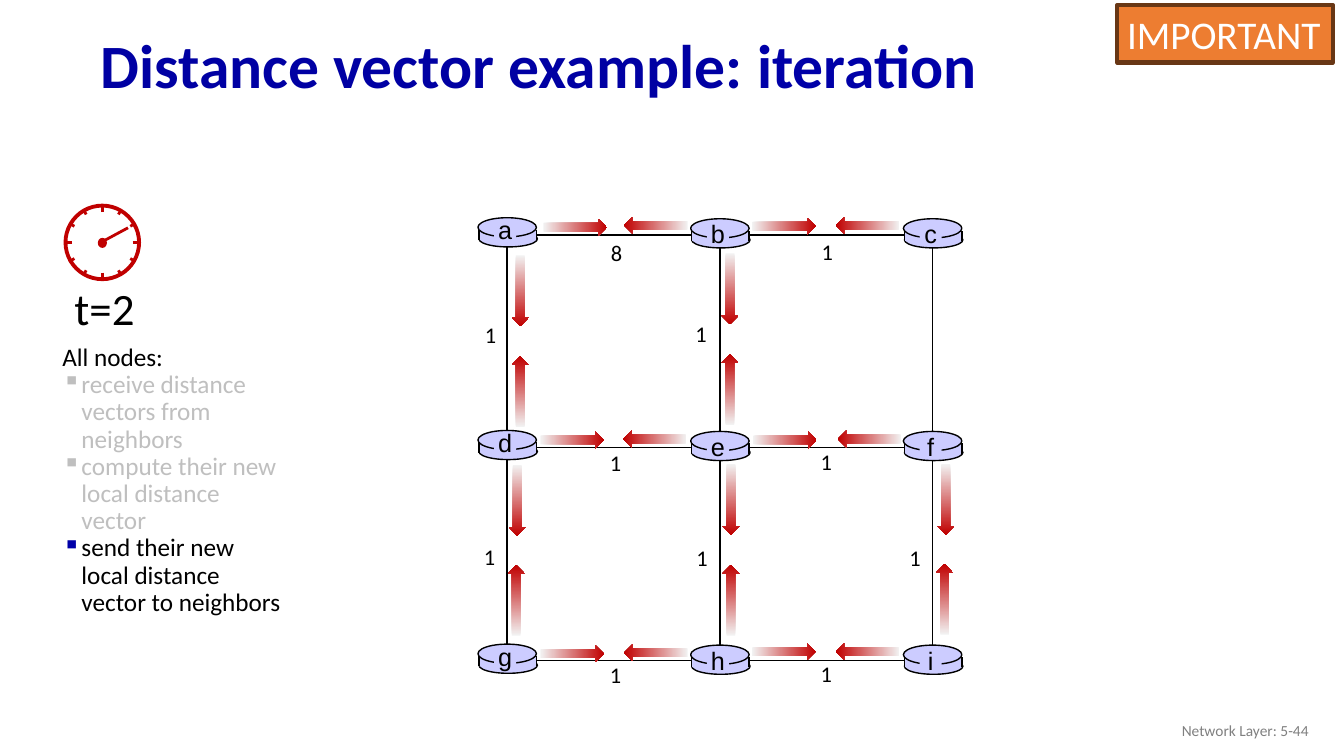
"""Build the distance vector iteration slide with its router grid."""
from dataclasses import dataclass
from math import cos, radians, sin

from lxml import etree
from pptx import Presentation
from pptx.dml.color import RGBColor
from pptx.enum.shapes import MSO_CONNECTOR, MSO_SHAPE
from pptx.enum.text import MSO_ANCHOR, PP_ALIGN
from pptx.oxml.ns import qn
from pptx.util import Inches, Pt

RECTANGLE, OVAL = MSO_SHAPE.RECTANGLE, MSO_SHAPE.OVAL
RIGHT_ARROW, STRAIGHT = MSO_SHAPE.RIGHT_ARROW, MSO_CONNECTOR.STRAIGHT
TOP, MIDDLE = MSO_ANCHOR.TOP, MSO_ANCHOR.MIDDLE
LEFT, CENTER, RIGHT = PP_ALIGN.LEFT, PP_ALIGN.CENTER, PP_ALIGN.RIGHT
BLACK, LILAC, RED, GREY, PALE = "000000", "CCCCFF", "C00000", "BFBFBF", "F2F2F2"
NAVY, NAVY_LIGHT = "0000A3", "0000A8"
COLUMNS = (4.74, 6.85, 8.96)
ROWS = (2.16, 4.27, 6.39)


@dataclass
class Router:
    name: str
    left: float
    top: float
    label_top: float


@dataclass
class Link:
    cost: str
    cost_at: tuple[float, float]
    forward_at: tuple[float, float]
    backward_at: tuple[float, float]


@dataclass
class Step:
    text: str
    text_color: str
    bullet_color: str


ROUTERS = [
    Router(name, left, top + (0.01 if column else 0), top + (-0.04 if column else -0.08))
    for names, top in zip(("abc", "def", "ghi"), ROWS)
    for column, (name, left) in enumerate(zip(names, COLUMNS))
]
HORIZONTAL_LINKS = [
    Link("8", (5.96, 2.32), (5.39, 2.17), (6.19, 2.15)),
    Link("1", (8.05, 2.31), (7.46, 2.16), (8.29, 2.15)),
    Link("1", (5.95, 4.41), (5.36, 4.28), (6.18, 4.27)),
    Link("1", (8.04, 4.40), (7.47, 4.28), (8.31, 4.27)),
    Link("1", (5.95, 6.51), (5.36, 6.40), (6.19, 6.39)),
    Link("1", (8.04, 6.50), (7.46, 6.38), (8.29, 6.38)),
]
VERTICAL_LINKS = [
    Link("1", (4.71, 3.14), (4.81, 2.80), (4.81, 3.80)),
    Link("1", (6.80, 3.13), (6.89, 2.78), (6.89, 3.78)),
    Link("1", (4.70, 5.34), (4.78, 4.88), (4.77, 5.87)),
    Link("1", (6.81, 5.35), (6.90, 4.87), (6.90, 5.87)),
    Link("1", (8.92, 5.35), (9.03, 4.87), (9.02, 5.86)),
]
STEPS = [
    Step("receive distance vectors from neighbors", GREY, GREY),
    Step("compute their new local distance vector", GREY, GREY),
    Step("send their new local distance vector to neighbors", BLACK, NAVY_LIGHT),
]


def rgb(value: str) -> RGBColor:
    return RGBColor.from_string(value)


def style_font(font, size: float, color: str, name: str = "Calibri") -> None:
    font.name, font.size = name, Pt(size)
    font.color.rgb = rgb(color)


def add_preset(slide, preset, left, top, width, height, fill="", line="", weight=1.0):
    shape = slide.shapes.add_shape(preset, Inches(left), Inches(top), Inches(width), Inches(height))
    shape.shadow.inherit = False
    if fill:
        shape.fill.solid()
        shape.fill.fore_color.rgb = rgb(fill)
    else:
        shape.fill.background()
    if line:
        shape.line.color.rgb = rgb(line)
        shape.line.width = Pt(weight)
    else:
        shape.line.fill.background()
    return shape


def add_line(slide, start, end, color: str = BLACK, weight: float = 1) -> None:
    connector = slide.shapes.add_connector(STRAIGHT, *map(Inches, (*start, *end)))
    connector.line.color.rgb = rgb(color)
    connector.line.width = Pt(weight)
    etree.SubElement(connector._element.spPr, qn("a:effectLst"))


def add_box(slide, left, top, width, height, anchor=TOP, wrap=True):
    box = slide.shapes.add_textbox(Inches(left), Inches(top), Inches(width), Inches(height))
    box.text_frame.word_wrap = wrap
    box.text_frame.vertical_anchor = anchor
    return box.text_frame


def write(frame, text: str, size: float, color: str = BLACK, name: str = "Calibri", align=LEFT):
    paragraph = frame.paragraphs[0]
    paragraph.text = text
    paragraph.alignment = align
    style_font(paragraph.font, size, color, name)
    return paragraph


def draw_router(slide, router: Router) -> None:
    left, top = router.left, router.top
    add_preset(slide, OVAL, left + 0.01, top + 0.13, 0.58, 0.16, LILAC, BLACK)
    add_preset(slide, RECTANGLE, left + 0.01, top + 0.12, 0.57, 0.1, LILAC)
    for side in (left + 0.01, left + 0.58):
        add_line(slide, (side, top + 0.12), (side, top + 0.22))
    add_preset(slide, OVAL, left, top, 0.58, 0.19, LILAC, BLACK)
    add_preset(slide, RECTANGLE, left + 0.16, top + 0.05, 0.22, 0.2, LILAC)
    frame = add_box(slide, left + 0.1, router.label_top, 0.34, 0.4, wrap=False)
    write(frame, router.name, 18, name="Arial", align=CENTER)


def draw_link(slide, link: Link, length: float, rotation: int) -> None:
    write(add_box(slide, *link.cost_at, 0.33, 0.37), link.cost, 16)
    for position, angle in ((link.forward_at, rotation), (link.backward_at, rotation + 180)):
        arrow = add_preset(slide, RIGHT_ARROW, *position, length, 0.17)
        arrow.rotation = angle
        arrow.fill.gradient()
        arrow.fill.gradient_angle = 0
        for stop, color, place in zip(arrow.fill.gradient_stops, (PALE, RED), (0, 1)):
            stop.color.rgb = rgb(color)
            stop.position = place


def draw_clock(slide) -> None:
    center_x, center_y, radius = 1.015, 2.405, 0.37
    add_preset(slide, OVAL, 0.65, 2.04, 0.73, 0.73, line=RED, weight=2.75)
    for angle in range(0, 360, 30):
        inner = radius - (0.05 if angle % 90 else 0.07)
        start, end = (
            (center_x + reach * cos(radians(angle)), center_y + reach * sin(radians(angle)))
            for reach in (inner, radius)
        )
        add_line(slide, start, end, RED, 2)
    add_preset(slide, OVAL, 0.97, 2.36, 0.09, 0.1, RED)
    add_line(slide, (1.27, 2.26), (1.01, 2.4), RED, 2)
    write(add_box(slide, 0.64, 2.74, 0.81, 0.64, wrap=False), "t=2", 32)


def draw_steps(slide) -> None:
    frame = add_box(slide, 0.52, 3.37, 2.4, 2.83)
    write(frame, "All nodes:", 18).line_spacing = 0.9
    for step in STEPS:
        paragraph = frame.add_paragraph()
        paragraph.text = step.text
        properties = paragraph._p.get_or_add_pPr()
        properties.set("marL", str(Inches(0.19)))
        properties.set("indent", str(Inches(-0.19)))
        bullet_color = etree.SubElement(properties, qn("a:buClr"))
        etree.SubElement(bullet_color, qn("a:srgbClr"), val=step.bullet_color)
        etree.SubElement(properties, qn("a:buChar"), char="▪")
        paragraph.line_spacing = 0.9
        style_font(paragraph.font, 18, step.text_color)


def draw_headings(slide) -> None:
    title = add_box(slide, 0.9, 0.19, 11.5, 0.98, MIDDLE).paragraphs[0]
    title.line_spacing = 0.9
    style_font(title.font, 44, NAVY)
    title.font.bold = True
    for text, color in (("Distance vector example: ", NAVY), ("iteration", NAVY_LIGHT)):
        run = title.add_run()
        run.text = text
        run.font.color.rgb = rgb(color)
    write(add_box(slide, 10.08, 7.05, 3, 0.4, MIDDLE), "Network Layer: 5-44", 11, "808080", align=RIGHT)
    badge = add_preset(slide, RECTANGLE, 11.08, 0.05, 2.14, 0.57, "ED7D31", "683715", 3)
    badge.text_frame.word_wrap = False
    write(badge.text_frame, "IMPORTANT", 28, "FFFFFF")


def main() -> None:
    presentation = Presentation()
    presentation.slide_width, presentation.slide_height = Inches(13.33), Inches(7.5)
    slide = presentation.slides.add_slide(presentation.slide_layouts[6])
    draw_headings(slide)
    add_line(slide, (7.14, 6.55), (7.14, 2.33))
    add_line(slide, (5.03, 4.44), (9.25, 4.44))
    add_preset(slide, RECTANGLE, 5.03, 2.33, 4.22, 4.22, line=BLACK)
    for router in ROUTERS:
        draw_router(slide, router)
    for links, length, rotation in ((HORIZONTAL_LINKS, 0.63, 0), (VERTICAL_LINKS, 0.7, 90)):
        for link in links:
            draw_link(slide, link, length, rotation)
    draw_steps(slide)
    draw_clock(slide)
    presentation.save("out.pptx")


if __name__ == "__main__":
    main()
